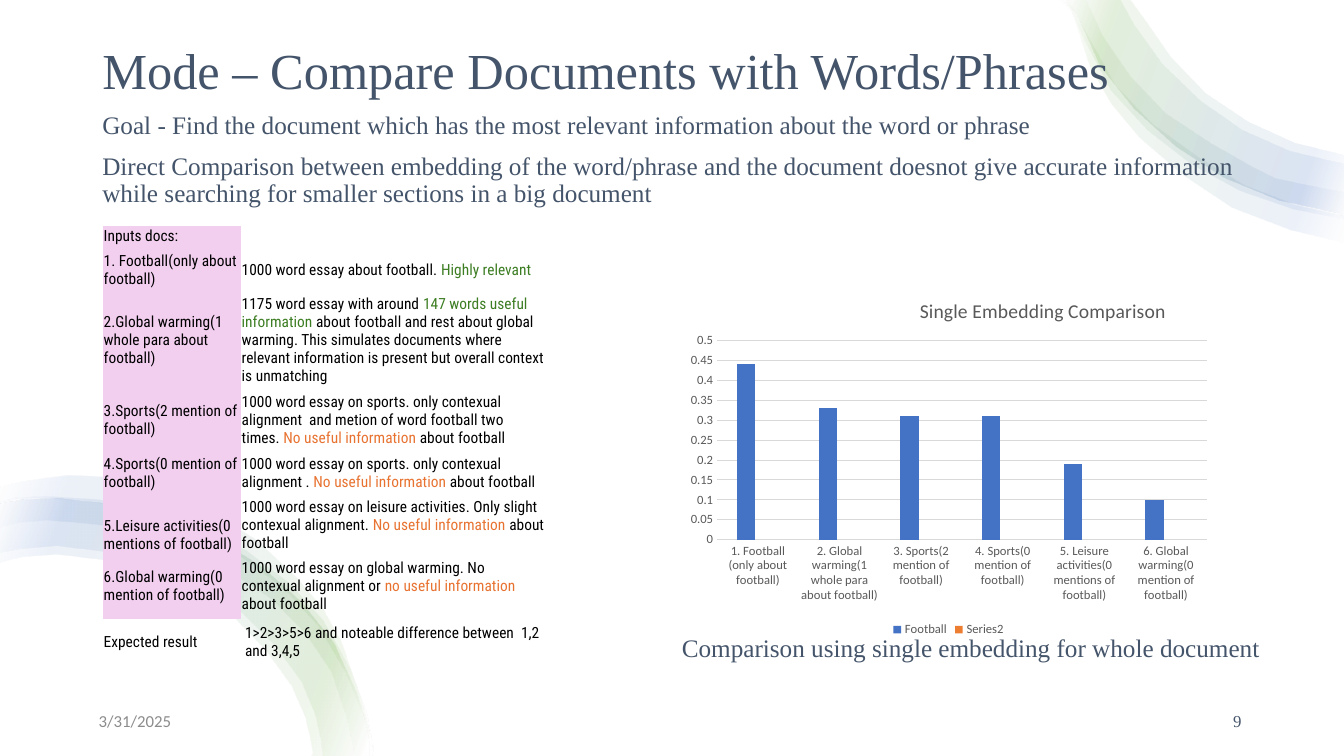
"""Build the slide on comparing documents with words and phrases."""
from lxml import etree
from pptx import Presentation
from pptx.chart.data import CategoryChartData as ChartData
from pptx.dml.color import RGBColor
from pptx.enum.chart import XL_CHART_TYPE as KIND, XL_LEGEND_POSITION as SPOT, XL_TICK_MARK as TICK
from pptx.enum.text import MSO_ANCHOR as ANCHOR, PP_ALIGN as ALIGN
from pptx.oxml import parse_xml
from pptx.oxml.ns import nsdecls, qn
from pptx.util import Pt

WIDE, HIGH = 960, 540
SERIF, SANS, SLIM = "Times New Roman", "Calibri", "Roboto Condensed"
NAVY, GRAY, PALE, BLACK = "44546A", "595959", "D9D9D9", "000000"
PINK, GREEN, ORANGE = "F2CEEF", "3C7D22", "E87331"

RIM = [(265, 540), (264, 525), (238, 459), (187, 405), (118, 369), (41, 356), (0, 360)]
BANDS = [
    RIM + [(0, 402), (41, 396), (107, 408), (167, 441), (208, 490), (222, 531), (222, 540)],
    RIM + [(0, 395), (41, 390), (110, 402), (171, 436), (215, 487), (229, 530), (230, 540)],
    [(265, 540), (261, 508), (230, 443), (176, 394), (107, 363), (32, 355), (0, 359),
     (0, 377), (33, 372), (102, 380), (135, 392), (193, 428), (236, 480), (253, 540)],
    [(266, 540), (266, 530), (244, 459), (211, 412), (149, 364), (72, 341), (31, 342), (0, 348),
     (0, 360), (32, 356), (106, 366), (172, 398), (227, 447), (260, 512), (264, 540)],
]
STOPS = [(2, "FFFFFF"), (16, "70AD47"), (85, "4472C4"), (100, "FFFFFF")]
ZOOM, SHIFT = 1.057, (1037.4, 533)

TEXTS = [
    ((66, 0, 828, 104.4), ["Mode – Compare Documents with Words/Phrases"],
     36, SERIF, NAVY, ANCHOR.MIDDLE, ALIGN.LEFT, 0.9),
    ((66, 77, 828, 343),
     ["Goal - Find the document which has the most relevant information about the word or phrase",
      "Direct Comparison between embedding of the word/phrase and the document doesnot give "
      "accurate information while searching for smaller sections in a big document"],
     18, SERIF, NAVY, ANCHOR.TOP, ALIGN.LEFT, 0.9),
    ((63.4, 500.4, 216, 28.8), ["3/31/2025"], 12, SANS, "8C8C8C", ANCHOR.MIDDLE, ALIGN.LEFT, 1),
    ((678, 500.4, 216, 28.8), ["9"], 12, SERIF, NAVY, ANCHOR.MIDDLE, ALIGN.RIGHT, 1),
    ((480, 448, 463, 29), ["Comparison using single embedding for whole document"],
     18, SERIF, NAVY, ANCHOR.TOP, ALIGN.LEFT, 1),
]

DOCS = [
    (1, "Inputs docs:", []),
    (2, "1. Football(only about football)",
     [("1000 word essay about football. ", BLACK), ("Highly relevant", GREEN)]),
    (5, "2.Global warming(1 whole para about football)",
     [("1175 word essay with around ", BLACK), ("147 words useful information", GREEN),
      (" about football and rest about global warming. This simulates documents where "
       "relevant information is present but overall context is unmatching", BLACK)]),
    (3, "3.Sports(2 mention of football)",
     [("1000 word essay on sports. only contexual alignment  and metion of word football "
       "two times. ", BLACK), ("No useful information", ORANGE), (" about football", BLACK)]),
    (2, "4.Sports(0 mention of football)",
     [("1000 word essay on sports. only contexual alignment . ", BLACK),
      ("No useful information", ORANGE), (" about football", BLACK)]),
    (3, "5.Leisure activities(0 mentions of football)",
     [("1000 word essay on leisure activities. Only slight contexual alignment.", BLACK),
      (" No useful information ", ORANGE), ("about football", BLACK)]),
    (3, "6.Global warming(0 mention of football)",
     [("1000 word essay on global warming. No contexual alignment or ", BLACK),
      ("no useful information", ORANGE), (" about football", BLACK)]),
]
LOW = ("4.Sports(0 mention of football)", "5.Leisure activities(0 mentions of football)")
RESULT = [(2, "Expected result",
           [("1>2>3>5>6 and noteable difference between  1,2 and 3,4,5", BLACK)])]

SCORES = [
    ("1. Football (only about football)", 0.44),
    ("2. Global warming(1 whole para about football)", 0.33),
    ("3. Sports(2 mention of football)", 0.31),
    ("4. Sports(0 mention of football)", 0.31),
    ("5. Leisure activities(0 mentions of football)", 0.19),
    ("6. Global warming(0 mention of football)", 0.1),
]


def color(code):
    return RGBColor.from_string(code)


def style(font, size, face, code):
    font.size, font.name, font.bold = Pt(size), face, False
    font.color.rgb = color(code)


def write(para, text, size, face, code):
    run = para.add_run()
    run.text = text
    style(run.font, size, face, code)


def smooth(knots):
    ends = [knots[0], *knots, knots[-1]]
    dots = []
    for a, b, c, d in zip(ends, ends[1:], ends[2:], ends[3:]):
        mid = tuple((9 * (q + r) - p - s) / 16 for p, q, r, s in zip(a, b, c, d))
        dots += [b, mid]
    return dots + [knots[-1]]


def ribbon(slide, dots, angle):
    pen = slide.shapes.build_freeform(*dots[0], scale=Pt(1))
    pen.add_line_segments(dots[1:], close=True)
    shape = pen.convert_to_shape()
    shape.shadow.inherit = False
    shape.line.fill.background()
    stops = "".join(f'<a:gs pos="{spot * 1000}"><a:srgbClr val="{code}"><a:alpha val="10000"/>'
                    "</a:srgbClr></a:gs>" for spot, code in STOPS)
    shape.fill.background()
    old = shape.element.spPr.find(qn("a:noFill"))
    old.getparent().replace(old, parse_xml(
        f'<a:gradFill {nsdecls("a")} rotWithShape="1"><a:gsLst>{stops}</a:gsLst>'
        f'<a:lin ang="{angle * 60000}" scaled="0"/></a:gradFill>'))


def ring(slide, turned):
    for knots in BANDS:
        half = next(i for i, (x, _) in enumerate(knots) if x == 0) + 1
        dots = smooth(knots[:half]) + smooth(knots[half:])
        if turned:
            dots = [(min(SHIFT[0] - ZOOM * x, WIDE), max(SHIFT[1] - ZOOM * y, 0)) for x, y in dots]
        ribbon(slide, dots, 20 if turned else 200)


def label(slide, box, lines, size, face, code, anchor, align, pitch):
    frame = slide.shapes.add_textbox(*map(Pt, box)).text_frame
    frame.word_wrap, frame.vertical_anchor = True, anchor
    for i, line in enumerate(lines):
        para = frame.paragraphs[0] if i == 0 else frame.add_paragraph()
        para.alignment, para.line_spacing = align, pitch
        if i:
            para.space_before = Pt(10)
        write(para, line, size, face, code)


def grid(slide, left, top, cols, rows, tint):
    highs = [12.8 * count + 4.4 for count, _, _ in rows]
    table = slide.shapes.add_table(len(rows), 2, *map(Pt, (left, top, sum(cols), sum(highs)))).table
    table.first_row = table.horz_banding = False
    table._tbl.tblPr.find(qn("a:tableStyleId")).text = "{2D5ABB26-0587-4C30-8999-92F81FD0307C}"
    for col, width in zip(table.columns, cols):
        col.width = Pt(width)
    for row, high, (_, name, parts) in zip(table.rows, highs, rows):
        row.height = Pt(high)
        for cell, runs, fill in zip(row.cells, ([(name, BLACK)], parts), (tint, None)):
            cell.margin_left = cell.margin_right = cell.margin_top = Pt(0.7)
            cell.margin_bottom = Pt(3.6)
            cell.vertical_anchor = ANCHOR.BOTTOM if runs[:1] and runs[0][0] in LOW else ANCHOR.MIDDLE
            cell.fill.background()
            if fill:
                cell.fill.solid()
                cell.fill.fore_color.rgb = color(fill)
            para = cell.text_frame.paragraphs[0]
            for text, code in runs:
                write(para, text, 11, SLIM, code)
            if not runs:
                etree.SubElement(para._p, qn("a:endParaRPr"), sz="1100")


def place(node, after, inner="", **spots):
    marks = "".join(f'<c:{key} val="{val}"/>' for key, val in spots.items())
    for old in node.findall(qn("c:layout")):
        node.remove(old)
    layout = parse_xml(f'<c:layout {nsdecls("c")}><c:manualLayout>{inner}<c:xMode val="edge"/>'
                       f'<c:yMode val="edge"/>{marks}</c:manualLayout></c:layout>')
    node.insert(after, layout)


def bars(slide):
    data = ChartData()
    data.categories = [name for name, _ in SCORES]
    data.add_series("Football", [score for _, score in SCORES])
    data.add_series("Series2", [None] * len(SCORES))
    chart = slide.shapes.add_chart(
        KIND.COLUMN_CLUSTERED, *map(Pt, (485.3, 199.4, 384.5, 258.5)), data).chart
    style(chart.font, 9, SANS, GRAY)
    chart.has_title = chart.has_legend = True
    write(chart.chart_title.text_frame.paragraphs[0], "Single Embedding Comparison", 14, SANS, GRAY)
    place(chart.chart_title._element, 1, x=0.44, y=0.04)
    chart.legend.position, chart.legend.include_in_layout = SPOT.BOTTOM, False
    plot = chart.plots[0]
    plot.gap_width, plot.overlap, plot.vary_by_categories = 219, -27, False
    for series, code in zip(plot.series, ("4472C4", "ED7D31")):
        series.format.fill.solid()
        series.format.fill.fore_color.rgb = color(code)
    cats, vals = chart.category_axis, chart.value_axis
    for axis in (cats, vals):
        axis.major_tick_mark = axis.minor_tick_mark = TICK.NONE
        style(axis.tick_labels.font, 9, SANS, GRAY)
    for line in (cats.format.line, vals.major_gridlines.format.line):
        line.color.rgb, line.width = color(PALE), Pt(0.75)
    vals.format.line.fill.background()
    vals.minimum_scale, vals.maximum_scale, vals.major_unit = 0, 0.5, 0.05
    vals.tick_labels.number_format, vals.tick_labels.number_format_is_linked = "General", False
    place(chart._chartSpace.chart.plotArea, 0, '<c:layoutTarget val="inner"/>',
          x=0.07, y=0.17, w=0.91, h=0.55)


def main():
    deck = Presentation()
    deck.slide_width, deck.slide_height = Pt(WIDE), Pt(HIGH)
    slide = deck.slides.add_slide(deck.slide_layouts[6])
    for turned in (True, False):
        ring(slide, turned)
    for text in TEXTS:
        label(slide, *text)
    bars(slide)
    grid(slide, 73.4, 161.3, (98.6, 217.4), DOCS, PINK)
    grid(slide, 73.4, 445, (101, 222), RESULT, None)
    deck.save("out.pptx")


if __name__ == "__main__":
    main()
